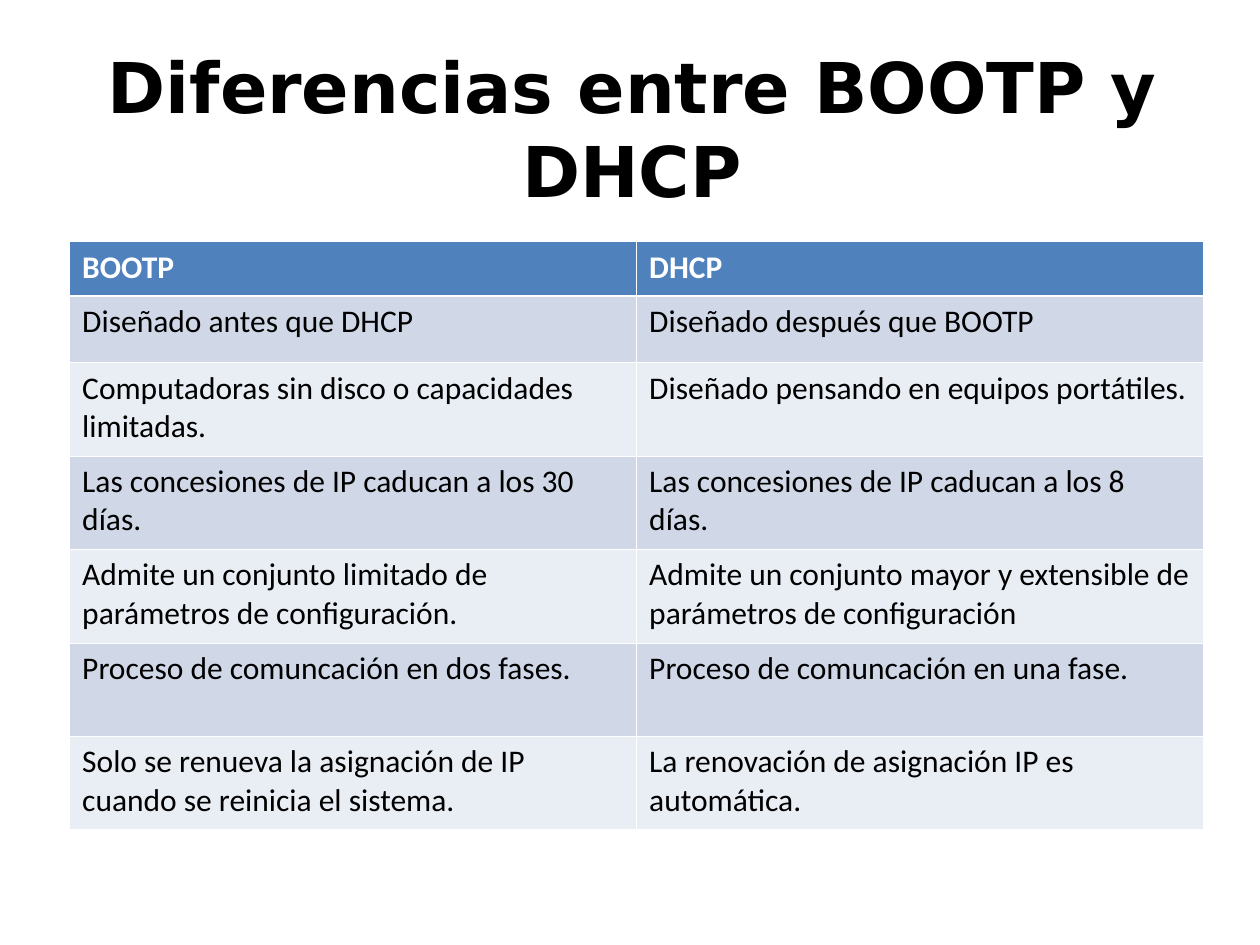
import pptx
import pptx.util
import pptx.dml.color
import pptx.enum.text
import pptx.oxml.ns
import lxml.etree

Pt = pptx.util.Pt
qn = pptx.oxml.ns.qn
colors = {
    "text": "000000",
    "header": "4F81BD",
    "odd": "D0D8E8",
    "even": "E9EDF4",
    "white": "FFFFFF",
}
rows = [
    ("BOOTP", "DHCP"),
    ("Diseñado antes que DHCP", "Diseñado después que BOOTP"),
    ("Computadoras sin disco o capacidades limitadas.",
     "Diseñado pensando en equipos portátiles."),
    ("Las concesiones de IP caducan a los 30 días.",
     "Las concesiones de IP caducan a los 8 días."),
    ("Admite un conjunto limitado de parámetros de configuración.",
     "Admite un conjunto mayor y extensible de parámetros de configuración"),
    ("Proceso de comuncación en dos fases.", "Proceso de comuncación en una fase."),
    ("Solo se renueva la asignación de IP cuando se reinicia el sistema.",
     "La renovación de asignación IP es automática."),
]
row_heights = [30.9, 38.2] + [53.4] * 5


def add_span(para, text, font, size, color, bold):
    span = para.add_run()
    span.text = text
    span.font.name = font
    span.font.size = Pt(size)
    span.font.bold = bold
    span.font.color.rgb = pptx.dml.color.RGBColor.from_string(colors[color])


def add_border(cell, side, width):
    line = lxml.etree.SubElement(
        cell._tc.get_or_add_tcPr(), qn("a:ln" + side), w=str(Pt(width)))
    fill = lxml.etree.SubElement(line, qn("a:solidFill"))
    lxml.etree.SubElement(fill, qn("a:srgbClr"), val=colors["white"])


deck = pptx.Presentation()
deck.slide_width, deck.slide_height = Pt(720), Pt(540)
page = deck.slides.add_slide(deck.slide_layouts[5])

title = page.shapes.title
title.left, title.top, title.width, title.height = Pt(36), Pt(28), Pt(650), Pt(90)
title.text_frame.word_wrap = True
title.text_frame.vertical_anchor = pptx.enum.text.MSO_ANCHOR.MIDDLE
heading = title.text_frame.paragraphs[0]
heading.alignment = pptx.enum.text.PP_ALIGN.CENTER
add_span(heading, "Diferencias entre BOOTP y DHCP", "DejaVu Sans", 40, "text", True)

table = page.shapes.add_table(
    len(rows), 2, Pt(39.8), Pt(138.2), Pt(648), Pt(sum(row_heights))).table
for column in table.columns:
    column.width = Pt(324)

for index, texts in enumerate(rows):
    table.rows[index].height = Pt(row_heights[index])
    is_header = index == 0
    fill_name = "header" if is_header else ("even", "odd")[index % 2]
    widths = {
        "L": 0.45,
        "R": 0.45,
        "T": 1.47 if index == 1 else 0.45,
        "B": 1.47 if is_header else 0.45,
    }
    for column_index, text in enumerate(texts):
        cell = table.cell(index, column_index)
        cell.margin_left = cell.margin_right = Pt(7.2)
        cell.margin_top = cell.margin_bottom = Pt(3.6)
        for side, width in widths.items():
            add_border(cell, side, width)
        cell.fill.solid()
        cell.fill.fore_color.rgb = pptx.dml.color.RGBColor.from_string(colors[fill_name])
        add_span(cell.text_frame.paragraphs[0], text, "Calibri", 18,
                 "white" if is_header else "text", is_header)

deck.save("out.pptx")
